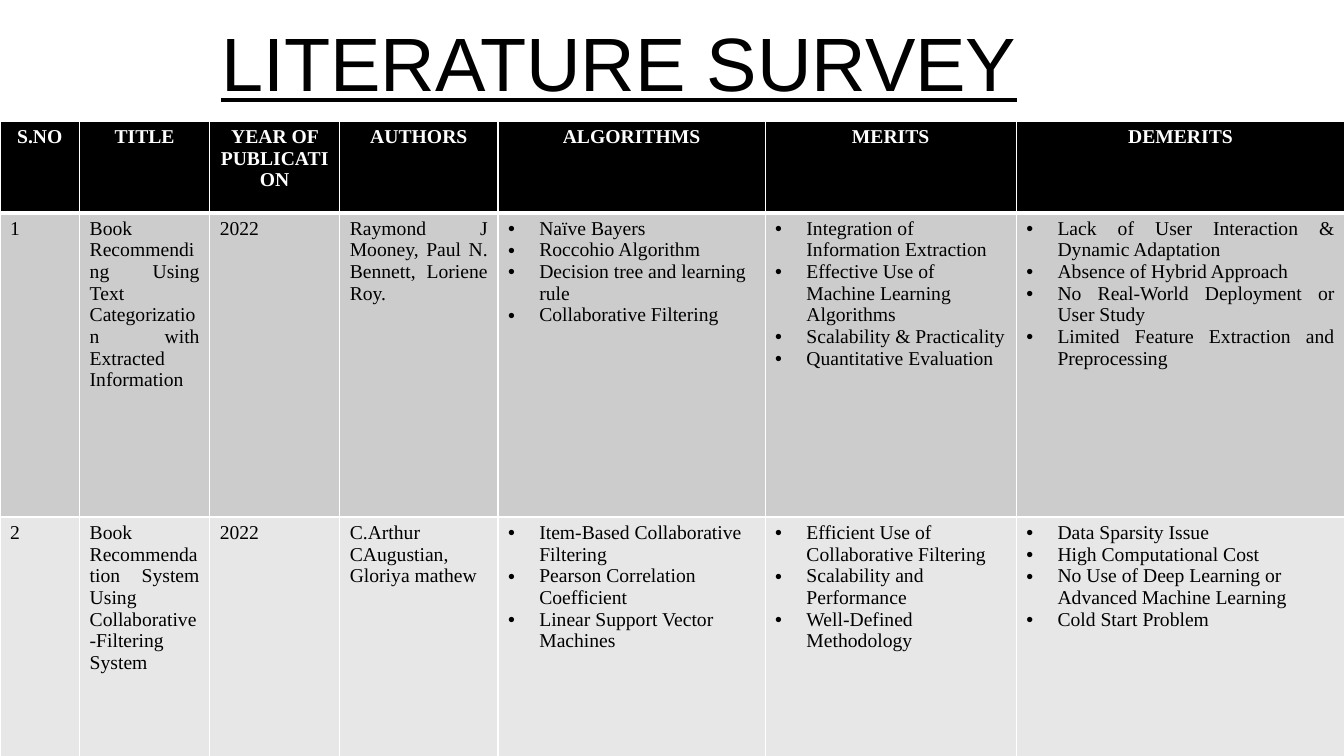
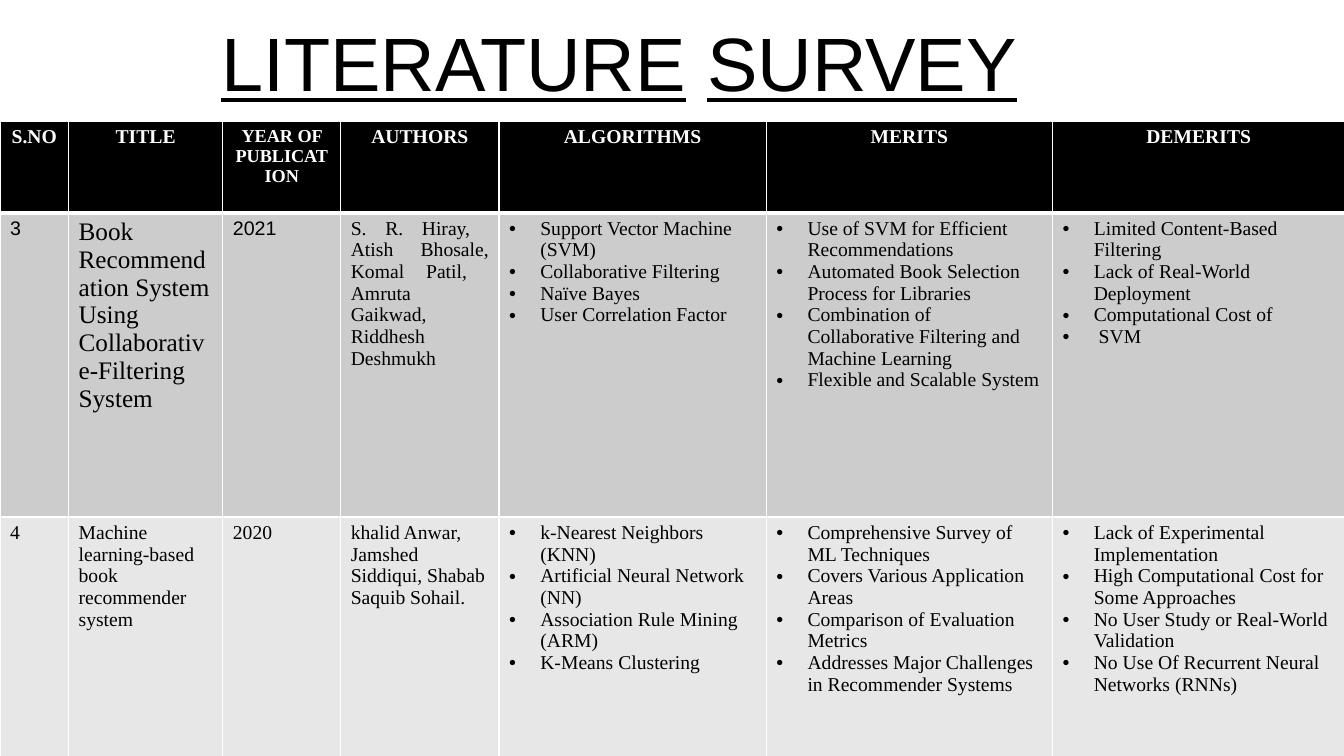
from dataclasses import dataclass, field
from typing import Any

import pptx
import pptx.dml.color
import pptx.enum.text
import pptx.oxml
import pptx.oxml.ns
import pptx.util
from pptx.util import Inches

Align = pptx.enum.text.PP_ALIGN
Anchor = pptx.enum.text.MSO_ANCHOR
AutoSize = pptx.enum.text.MSO_AUTO_SIZE
RGB = pptx.dml.color.RGBColor
NS = pptx.oxml.ns.nsdecls("a")


@dataclass(frozen=True)
class Theme:
    ink: str = "000000"
    paper: str = "FFFFFF"
    bands: tuple[str, str] = ("CCCCCC", "E7E7E7")
    title_font: str = "Arial"
    body_font: str = "Times New Roman"
    title_size: int = 54
    large_size: int = 18
    body_size: int = 14
    small_size: int = 13
    thin_rule: int = 1
    thick_rule: int = 3
    bullet_indent: float = 0.31


THEME = Theme()
HEADINGS = ("S.NO", "TITLE", "YEAR OF PUBLICATION", "AUTHORS",
            "ALGORITHMS", "MERITS", "DEMERITS")
ROW_HEIGHTS = (0.91, 3.02, 2.38)


@dataclass(frozen=True)
class Entry:
    lines: tuple[str, ...]
    align: Any = Align.JUSTIFY
    bullet: bool = False
    font: str = THEME.body_font
    size: int = THEME.body_size
    color: str = THEME.ink
    bold: bool = False


@dataclass(frozen=True)
class Survey:
    title: tuple[tuple[str, str], ...]
    widths: tuple[float, ...]
    papers: tuple[tuple[Entry, ...], ...]
    heading_sizes: dict[str, int] = field(default_factory=dict)


def text(line: str, **fmt: Any) -> Entry:
    return Entry((line,), **fmt)


def bullets(*lines: str, align: Any = Align.LEFT) -> Entry:
    return Entry(lines, align, bullet=True)


def heading(label: str, sizes: dict[str, int]) -> Entry:
    return text(label, align=Align.CENTER, color=THEME.paper, bold=True,
                size=sizes.get(label, THEME.body_size))


def apply(target: Any, values: dict[str, Any]) -> None:
    for name, value in values.items():
        setattr(target, name, value)


def add_run(p: Any, line: str, color: str, **fmt: Any) -> None:
    r = p.add_run()
    r.text = line
    apply(r.font, fmt)
    r.font.color.rgb = RGB.from_string(color)


def add_bullet(p: Any) -> None:
    pPr = p._p.get_or_add_pPr()
    indent = Inches(THEME.bullet_indent)
    pPr.set("marL", str(indent))
    pPr.set("indent", str(-indent))
    for tag in ('buFont typeface="Arial"', 'buChar char="•"'):
        pPr.append(pptx.oxml.parse_xml(f"<a:{tag} {NS}/>"))


def set_borders(cell: Any, top: int, bottom: int) -> None:
    tcPr = cell._tc.get_or_add_tcPr()
    edges = {"L": THEME.thin_rule, "R": THEME.thin_rule, "T": top, "B": bottom}
    for i, (side, width) in enumerate(edges.items()):
        tcPr.insert(i, pptx.oxml.parse_xml(
            f'<a:ln{side} {NS} w="{pptx.util.Pt(width)}"><a:solidFill>'
            f'<a:srgbClr val="{THEME.paper}"/></a:solidFill></a:ln{side}>'))


def fill_cell(cell: Any, entry: Entry, fill: str) -> None:
    cell.fill.solid()
    cell.fill.fore_color.rgb = RGB.from_string(fill)
    tf = cell.text_frame
    for i, line in enumerate(entry.lines):
        p = tf.add_paragraph() if i else tf.paragraphs[0]
        p.alignment = entry.align
        if entry.bullet:
            add_bullet(p)
        add_run(p, line, entry.color, name=entry.font,
                size=pptx.util.Pt(entry.size), bold=entry.bold)


def add_title(slide: Any, parts: tuple[tuple[str, str], ...]) -> None:
    sp = slide.shapes.title
    apply(sp, {"left": Inches(1.14), "top": Inches(0.16),
               "width": Inches(10), "height": Inches(0.96)})
    tf = sp.text_frame
    apply(tf, {"word_wrap": True, "auto_size": AutoSize.NONE,
               "vertical_anchor": Anchor.BOTTOM})
    p = tf.paragraphs[0]
    apply(p, {"alignment": Align.CENTER, "line_spacing": 0.9})
    for part, color in parts:
        add_run(p, part, color, name=THEME.title_font,
                size=pptx.util.Pt(THEME.title_size), underline=True)


def add_survey_table(slide: Any, survey: Survey) -> None:
    rows = (tuple(heading(h, survey.heading_sizes) for h in HEADINGS),
            *survey.papers)
    table = slide.shapes.add_table(len(rows), len(HEADINGS), 0, Inches(1.2),
                                   Inches(13.33), Inches(6.3)).table
    apply(table, {"first_row": False, "horz_banding": False})
    for column, width in zip(table.columns, survey.widths):
        column.width = Inches(width)
    for i, (entries, height) in enumerate(zip(rows, ROW_HEIGHTS)):
        table.rows[i].height = Inches(height)
        fill = (THEME.ink, *THEME.bands)[i]
        top = THEME.thick_rule if i == 1 else THEME.thin_rule
        bottom = THEME.thick_rule if i == 0 else THEME.thin_rule
        for j, entry in enumerate(entries):
            cell = table.cell(i, j)
            fill_cell(cell, entry, fill)
            set_borders(cell, top, bottom)


SURVEYS = (
    Survey(
        title=(("LITERATURE SURVEY", THEME.ink),),
        widths=(0.79, 1.29, 1.29, 1.57, 2.65, 2.49, 3.26),
        papers=(
            (text("1"),
             text("Book Recommending Using Text Categorization with Extracted Information"),
             text("2022"),
             text("Raymond J Mooney, Paul N. Bennett, Loriene Roy."),
             bullets("Naïve Bayers", "Roccohio Algorithm",
                     "Decision tree and learning rule", "Collaborative Filtering"),
             bullets("Integration of Information Extraction",
                     "Effective Use of Machine Learning Algorithms",
                     "Scalability & Practicality", "Quantitative Evaluation"),
             bullets("Lack of User Interaction & Dynamic Adaptation",
                     "Absence of Hybrid Approach",
                     "No Real-World Deployment or User Study",
                     "Limited Feature Extraction and Preprocessing",
                     align=Align.JUSTIFY)),
            (text("2"),
             text("Book Recommendation System Using Collaborative-Filtering System"),
             text("2022"),
             text("C.Arthur CAugustian, Gloriya mathew", align=Align.LEFT),
             bullets("Item-Based Collaborative Filtering",
                     "Pearson Correlation Coefficient",
                     "Linear Support Vector Machines"),
             bullets("Efficient Use of Collaborative Filtering",
                     "Scalability and Performance", "Well-Defined Methodology"),
             bullets("Data Sparsity Issue", "High Computational Cost",
                     "No Use of Deep Learning or Advanced Machine Learning",
                     "Cold Start Problem")),
        ),
    ),
    Survey(
        title=(("LITERATURE", THEME.ink), (" ", THEME.paper), ("SURVEY", THEME.ink)),
        widths=(0.68, 1.53, 1.17, 1.57, 2.65, 2.84, 2.9),
        heading_sizes={"YEAR OF PUBLICATION": THEME.small_size},
        papers=(
            (text("3", font=THEME.title_font),
             text("Book Recommendation System Using Collaborative-Filtering System",
                  align=Align.LEFT, size=THEME.large_size),
             text("2021", font=THEME.title_font),
             text("S. R. Hiray,  Atish Bhosale, Komal Patil,  Amruta Gaikwad,  "
                  "Riddhesh Deshmukh"),
             bullets("Support Vector Machine (SVM)", "Collaborative Filtering",
                     "Naïve Bayes", "User Correlation Factor"),
             bullets("Use of SVM for Efficient Recommendations",
                     "Automated Book Selection Process for Libraries",
                     "Combination of Collaborative Filtering and Machine Learning",
                     "Flexible and Scalable System"),
             bullets("Limited Content-Based Filtering",
                     "Lack of Real-World Deployment",
                     "Computational Cost of", " SVM")),
            (text("4"),
             text("Machine learning-based book recommender system", align=Align.LEFT),
             text("2020"),
             text("khalid Anwar, Jamshed Siddiqui, Shabab Saquib Sohail.",
                  align=Align.LEFT),
             bullets("k-Nearest Neighbors (KNN)", "Artificial Neural Network (NN)",
                     "Association Rule Mining (ARM)", "K-Means Clustering"),
             bullets("Comprehensive Survey of ML Techniques",
                     "Covers Various Application Areas",
                     "Comparison of Evaluation Metrics",
                     "Addresses Major Challenges in Recommender Systems"),
             bullets("Lack of Experimental Implementation",
                     "High Computational Cost for Some Approaches",
                     "No User Study or Real-World Validation",
                     "No Use Of Recurrent Neural Networks (RNNs)")),
        ),
    ),
)


def main() -> None:
    prs = pptx.Presentation()
    apply(prs, {"slide_width": Inches(13.33), "slide_height": Inches(7.5)})
    title_only = prs.slide_layouts.get_by_name("Title Only")
    for survey in SURVEYS:
        slide = prs.slides.add_slide(title_only)
        add_title(slide, survey.title)
        add_survey_table(slide, survey)
    prs.save("out.pptx")


if __name__ == "__main__":
    main()
